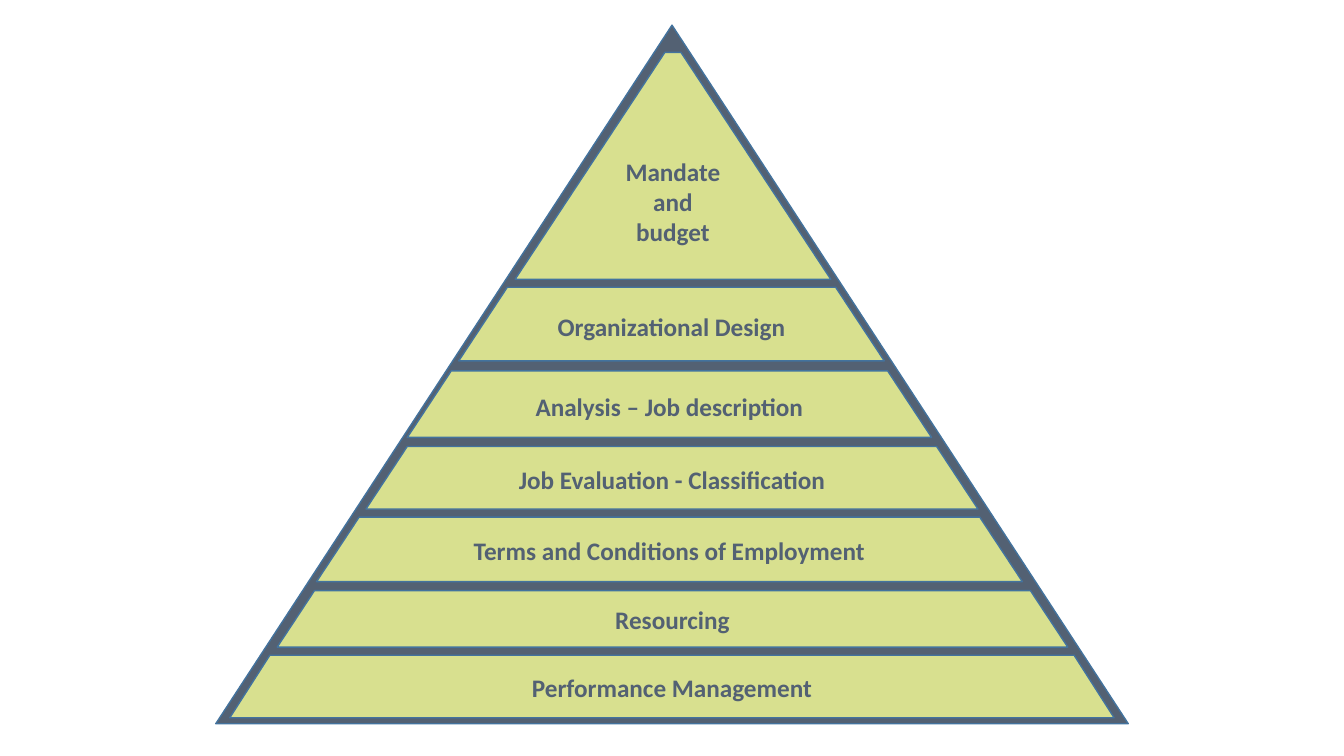
from pptx import Presentation
from pptx import util as u
from pptx.dml.color import RGBColor
from pptx.enum import shapes, text

SLATE, LIME, EDGE = "536173", "D8E08F", "43739E"
SLOPE = 0.66
BASE_SLOPE = 0.64
TIERS = [
    ("Mandate and budget", 2.97, 0.27, 3.13, 2.25),
    ("Organizational Design", 2.41, 2.6, 4.22, 0.73),
    ("Analysis – Job description", 1.9, 3.43, 5.2, 0.66),
    ("Job Evaluation - Classification", 1.49, 4.18, 6.07, 0.62),
    ("Terms and Conditions of Employment", 1, 4.88, 7, 0.64),
    ("Resourcing", 0.61, 5.61, 7.84, 0.56),
    ("Performance Management", 0.14, 6.25, 8.77, 0.62),
]


def color(value):
    return RGBColor.from_string(value)


def add_block(s, kind, fill, x, y, w, h):
    sp = s.shapes.add_shape(kind, *(u.Inches(v) for v in (x, y, w, h)))
    sp.shadow.inherit = False
    sp.fill.solid()
    sp.fill.fore_color.rgb = color(fill)
    sp.line.color.rgb = color(EDGE)
    sp.line.width = u.Pt(1)
    return sp


def add_tier(s, label, slope, x, y, w, h):
    sp = add_block(s, shapes.MSO_SHAPE.TRAPEZOID, LIME, x, y, w, h)
    sp.adjustments[0] = slope
    tf = sp.text_frame
    tf.word_wrap = True
    tf.vertical_anchor = text.MSO_ANCHOR.MIDDLE
    p = tf.paragraphs[0]
    p.text = label
    p.alignment = text.PP_ALIGN.CENTER
    font = p.runs[0].font
    font.name = "Calibri"
    font.size = u.Pt(18)
    font.bold = True
    font.color.rgb = color(SLATE)


def add_pyramid(s, x, y, w, h):
    add_block(s, shapes.MSO_SHAPE.ISOSCELES_TRIANGLE, SLATE, x, y, w, h)
    for label, dx, dy, tier_w, tier_h in TIERS:
        slope = BASE_SLOPE if label == TIERS[-1][0] else SLOPE
        add_tier(s, label, slope, x + dx, y + dy, tier_w, tier_h)


def main():
    prs = Presentation()
    prs.slide_width = u.Inches(13.33)
    prs.slide_height = u.Inches(7.5)
    s = prs.slides.add_slide(prs.slide_layouts[6])
    add_pyramid(s, 2.14, 0.25, 9.05, 6.93)
    prs.save("out.pptx")


if __name__ == "__main__":
    main()
